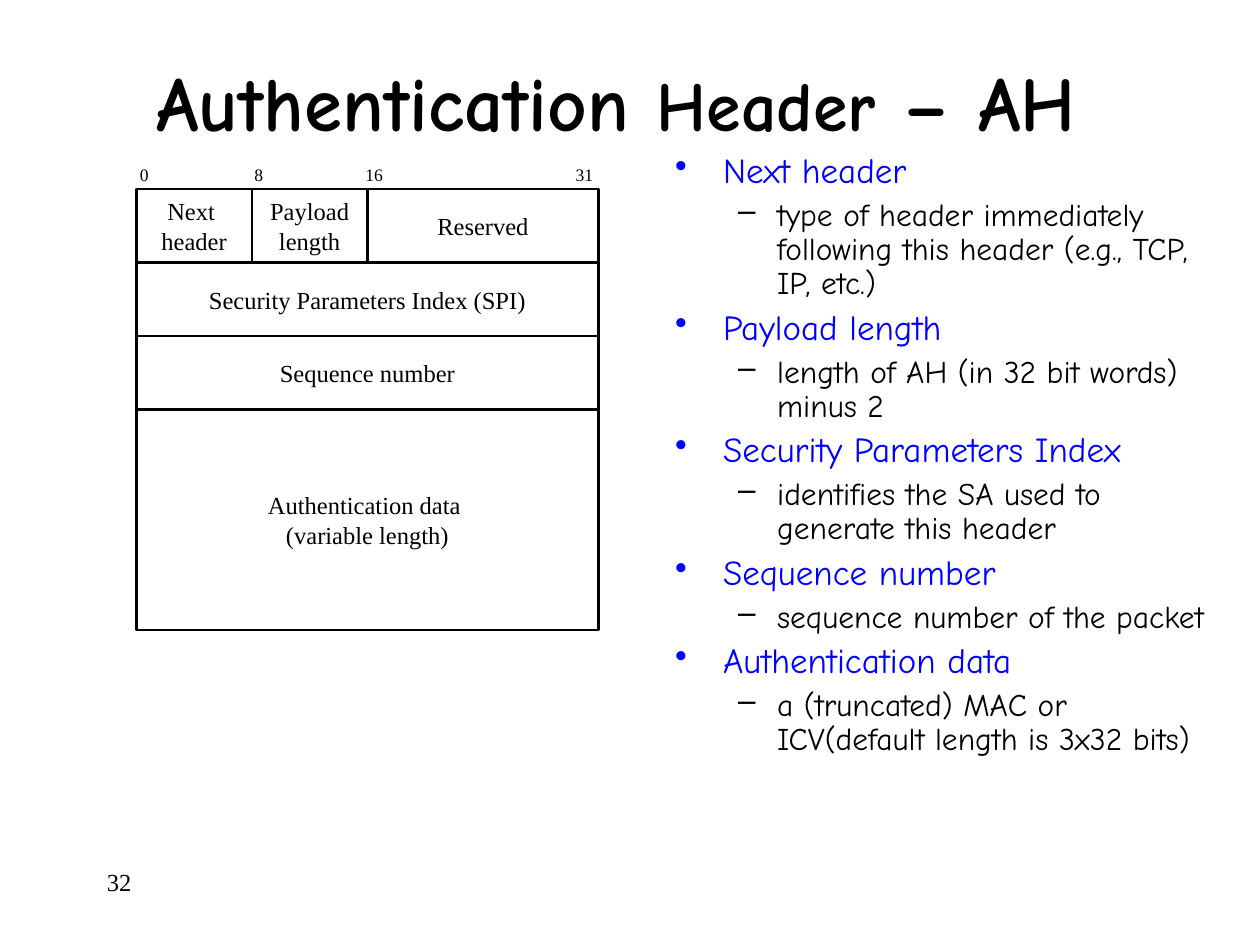
import pptx
import pptx.util
import pptx.dml.color
import pptx.enum.shapes
import pptx.enum.text
import pptx.oxml.ns
import lxml.etree

COLORS = {"ink": "000000", "paper": "FFFFFF", "term": "0000FF"}
SERIF, HAND = "Times New Roman", "Comic Neue"
MIDDLE = pptx.enum.text.MSO_ANCHOR.MIDDLE
CENTER = pptx.enum.text.PP_ALIGN.CENTER
Inches, Pt = pptx.util.Inches, pptx.util.Pt


def rgb(name):
    return pptx.dml.color.RGBColor.from_string(COLORS[name])


def style(font, face, size, color="ink"):
    font.name = face
    font.size = Pt(size)
    font.color.rgb = rgb(color)


deck = pptx.Presentation()
deck.slide_width, deck.slide_height = Inches(10), Inches(7.5)
slide = deck.slides.add_slide(deck.slide_layouts[6])
shapes = slide.shapes

page = shapes.add_textbox(Inches(0.75), Inches(6.83), Inches(2.08), Inches(0.5))
page.text_frame.text = "32"
style(page.text_frame.paragraphs[0].font, SERIF, 14)

title = shapes.add_textbox(Inches(0.75), Inches(0.17), Inches(8.5), Inches(1.25))
title.text_frame.word_wrap = True
title.text_frame.vertical_anchor = MIDDLE
heading = title.text_frame.paragraphs[0]
heading.alignment = CENTER
heading.font.bold = True
for words, size in [("Authentication ", 44), ("Header", 40), (" – AH ", 44)]:
    run = heading.add_run()
    run.text = words
    style(run.font, HAND, size)

definitions = [
    ("Next header", "type of header immediately following this header (e.g., TCP, IP, etc.)"),
    ("Payload length", "length of AH (in 32 bit words) minus 2"),
    ("Security Parameters Index", "identifies the SA used to generate this header"),
    ("Sequence number", "sequence number of the packet"),
    ("Authentication data", "a (truncated) MAC or ICV(default length is 3x32 bits)"),
]
levels = [("•", 0.38, -0.38, 20, 5, "term"), ("–", 0.81, -0.31, 18, 4.5, "ink")]
glossary = shapes.add_textbox(Inches(5.26), Inches(1.17), Inches(4.41), Inches(5.75)).text_frame
glossary.word_wrap = True
for index, definition in enumerate(definitions):
    for level, (words, (mark, margin, indent, size, gap, color)) in enumerate(zip(definition, levels)):
        first = index == level == 0
        entry = glossary.paragraphs[0] if first else glossary.add_paragraph()
        entry.text = words
        entry.level = level
        entry.line_spacing = 0.9
        entry.space_before = Pt(0 if first else gap)
        properties = entry._p.get_or_add_pPr()
        properties.set("marL", str(Inches(margin)))
        properties.set("indent", str(Inches(indent)))
        bullet_color = lxml.etree.SubElement(properties, pptx.oxml.ns.qn("a:buClr"))
        lxml.etree.SubElement(bullet_color, pptx.oxml.ns.qn("a:srgbClr"), val=COLORS[color])
        lxml.etree.SubElement(properties, pptx.oxml.ns.qn("a:buChar"), char=mark)
        style(entry.font, HAND, size, color)

left, top = Inches(13 / 12), Inches(1.5)
column, row = Inches(11 / 12), Inches(7 / 12)
fields = [
    ("Next \nheader", 0, 0, 1, 1),
    ("Payload\nlength", 1, 0, 1, 1),
    ("Reserved", 2, 0, 2, 1),
    ("Security Parameters Index (SPI)", 0, 1, 4, 1),
    ("Sequence number", 0, 2, 4, 1),
    ("Authentication data \n(variable length)", 0, 3, 4, 3),
]
for words, across, down, columns, rows in fields:
    field = shapes.add_shape(
        pptx.enum.shapes.MSO_SHAPE.RECTANGLE,
        left + across * column, top + down * row, columns * column, rows * row)
    field.shadow.inherit = False
    field.fill.solid()
    field.fill.fore_color.rgb = rgb("paper")
    field.line.color.rgb = rgb("ink")
    field.line.width = Pt(1.5)
    field.text_frame.word_wrap = False
    field.text_frame.vertical_anchor = MIDDLE
    field.text_frame.text = words
    for line in field.text_frame.paragraphs:
        line.alignment = CENTER
        style(line.font, SERIF, 14)

for bit, center, width in [("0", 0.07, 0.27), ("8", 1.06, 0.27), ("16", 2.06, 0.34), ("31", 3.88, 0.34)]:
    tick = shapes.add_textbox(
        left + int(center * column) - Inches(width / 2), Inches(1.25), Inches(width), Inches(0.27))
    tick.text_frame.word_wrap = False
    tick.text_frame.auto_size = pptx.enum.text.MSO_AUTO_SIZE.SHAPE_TO_FIT_TEXT
    tick.text_frame.text = bit
    style(tick.text_frame.paragraphs[0].font, SERIF, 10)

deck.save("out.pptx")
